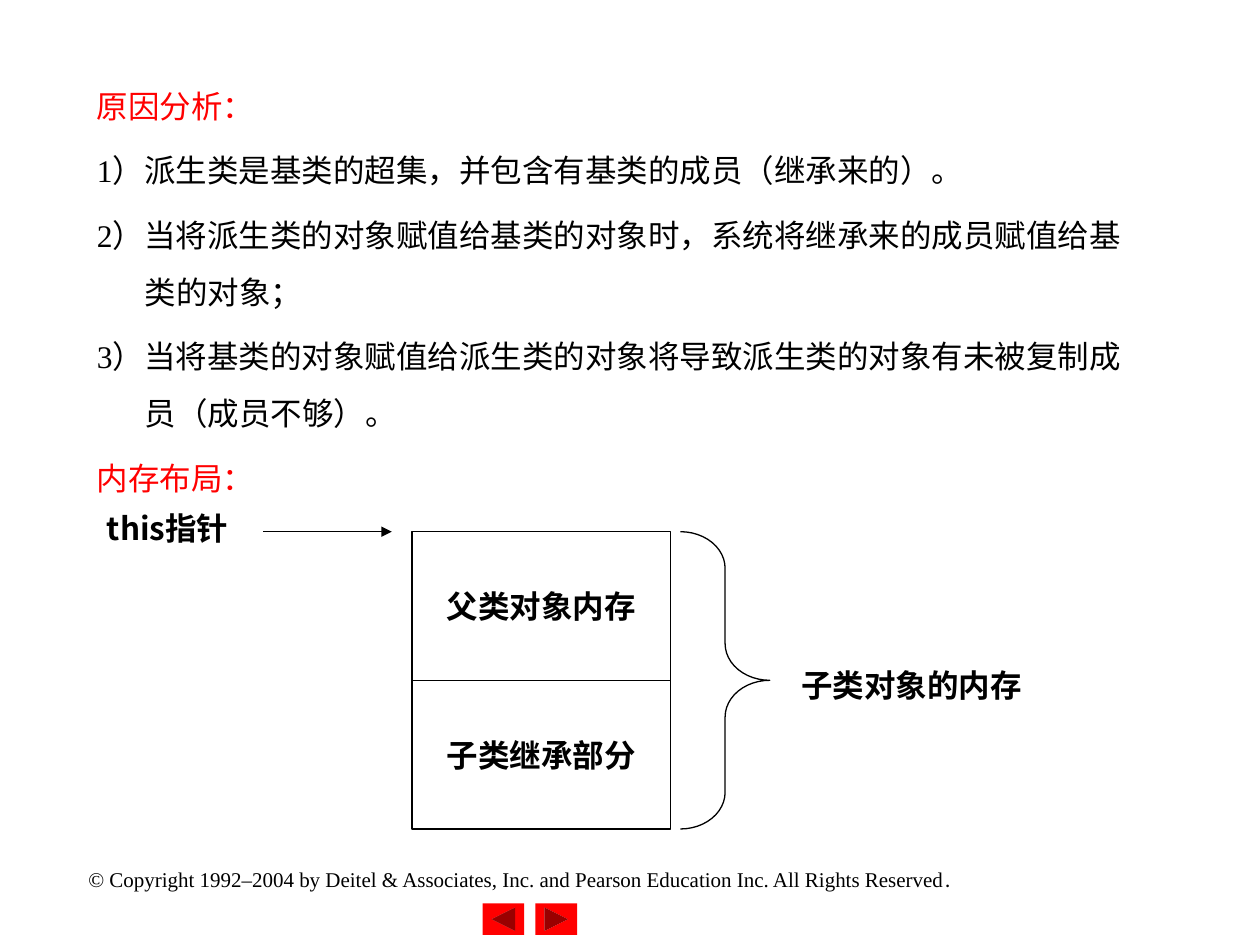
from dataclasses import dataclass

from lxml import etree
from pptx import Presentation
from pptx.dml.color import RGBColor
from pptx.enum.shapes import MSO_CONNECTOR as Connector, MSO_SHAPE as Preset
from pptx.enum.text import MSO_ANCHOR as Anchor, PP_ALIGN as Align
from pptx.oxml.ns import qn
from pptx.util import Inches, Pt


@dataclass(frozen=True)
class Theme:
    ink: RGBColor = RGBColor(0, 0, 0)
    accent: RGBColor = RGBColor(0xFF, 0, 0)
    serif: str = "Times New Roman"
    sans: str = "Noto Sans CJK SC"
    display: str = "League Spartan"
    body_size: Pt = Pt(18)
    footer_size: Pt = Pt(12)
    line_width: Pt = Pt(0.75)


THEME = Theme()

ANALYSIS = [
    ("原因分析：", THEME.accent),
    ("1）派生类是基类的超集，并包含有基类的成员（继承来的）。", THEME.ink),
    ("2）当将派生类的对象赋值给基类的对象时，系统将继承来的成员赋值给基类的对象；", THEME.ink),
    ("3）当将基类的对象赋值给派生类的对象将导致派生类的对象有未被复制成员（成员不够）。", THEME.ink),
    ("内存布局：", THEME.accent),
]
COPYRIGHT = ("© Copyright 1992–2004 by Deitel & Associates, Inc. "
             "and Pearson Education Inc. All Rights Reserved")

# Memory diagram grid, in inches
BLOCK_LEFT, BLOCK_TOP = 3.27, 4.22
BLOCK_WIDTH, BLOCK_HEIGHT = 2.05, 1.18


def add_span(para, text, font, size=THEME.body_size, color=THEME.ink, bold=False):
    span = para.add_run()
    span.text = text
    span.font.name = font
    span.font.size = size
    span.font.bold = bold
    span.font.color.rgb = color
    east_asian = etree.SubElement(span.font._element, qn("a:ea"))
    east_asian.set("typeface", THEME.sans)


def add_text_box(page, left, top, width, height):
    box = page.shapes.add_textbox(*map(Inches, (left, top, width, height)))
    box.text_frame.word_wrap = True
    return box.text_frame


def add_label(page, text, left, top, width):
    frame = add_text_box(page, left, top, width, 0.4)
    add_span(frame.paragraphs[0], text, THEME.sans, bold=True)


def add_preset(page, preset, left, top, width, height):
    shape = page.shapes.add_shape(preset, *map(Inches, (left, top, width, height)))
    shape.shadow.inherit = False
    return shape


def add_outline(page, preset, left, top, width, height):
    shape = add_preset(page, preset, left, top, width, height)
    shape.fill.background()
    shape.line.color.rgb = THEME.ink
    shape.line.width = THEME.line_width
    return shape


def add_memory_block(page, text, row):
    block = add_outline(page, Preset.RECTANGLE, BLOCK_LEFT,
                        BLOCK_TOP + row * BLOCK_HEIGHT, BLOCK_WIDTH, BLOCK_HEIGHT)
    frame = block.text_frame
    frame.word_wrap = False
    frame.vertical_anchor = Anchor.MIDDLE
    para = frame.paragraphs[0]
    para.alignment = Align.CENTER
    add_span(para, text, THEME.sans, bold=True)


def add_arrow(page, start, end, top):
    arrow = page.shapes.add_connector(
        Connector.STRAIGHT, Inches(start), Inches(top), Inches(end), Inches(top))
    arrow.line.color.rgb = THEME.ink
    arrow.line.width = THEME.line_width
    head = etree.SubElement(arrow.line._get_or_add_ln(), qn("a:tailEnd"))
    head.set("type", "triangle")
    etree.SubElement(arrow._element.spPr, qn("a:effectLst"))


def add_navigation_button(page, left, rotation):
    button = add_preset(page, Preset.ACTION_BUTTON_FORWARD_OR_NEXT,
                        left, 7.17, 0.33, 0.25)
    button.rotation = rotation
    button.fill.solid()
    button.fill.fore_color.rgb = THEME.accent
    button.line.fill.background()


def add_footer(page):
    para = add_text_box(page, 0.5, 6.83, 7.25, 0.3).paragraphs[0]
    para.alignment = Align.CENTER
    add_span(para, COPYRIGHT, THEME.serif, THEME.footer_size)
    add_span(para, ".", THEME.display, THEME.footer_size)


def add_analysis(page):
    frame = add_text_box(page, 0.67, 0.64, 8.5, 5.33)
    for index, (text, color) in enumerate(ANALYSIS):
        para = frame.add_paragraph() if index else frame.paragraphs[0]
        if index:
            para.space_before = Pt(4.5)
            para.line_spacing = 1.5
        # Hanging indent for the numbered points
        indent = Inches(0.38)
        properties = para._p.get_or_add_pPr()
        properties.set("marL", str(indent))
        properties.set("indent", str(-indent))
        add_span(para, text, THEME.serif, color=color)


def main():
    deck = Presentation()
    deck.slide_width, deck.slide_height = Inches(10), Inches(7.5)
    page = deck.slides.add_slide(deck.slide_layouts[6])

    # Navigation and copyright line
    add_navigation_button(page, 4.25, 0)
    add_navigation_button(page, 3.83, 180)
    add_footer(page)

    # Explanation
    add_analysis(page)

    # Memory layout diagram
    for row, text in enumerate(("父类对象内存", "子类继承部分")):
        add_memory_block(page, text, row)
    add_arrow(page, 2.09, 3.11, BLOCK_TOP)
    add_label(page, "this指针", 0.75, 3.99, 1.81)
    brace = add_outline(page, Preset.RIGHT_BRACE, 5.4, BLOCK_TOP, 0.71, 2 * BLOCK_HEIGHT)
    brace.adjustments[0] = 0.41
    add_label(page, "子类对象的内存", 6.26, 5.24, 2.13)

    deck.save("out.pptx")


if __name__ == "__main__":
    main()
